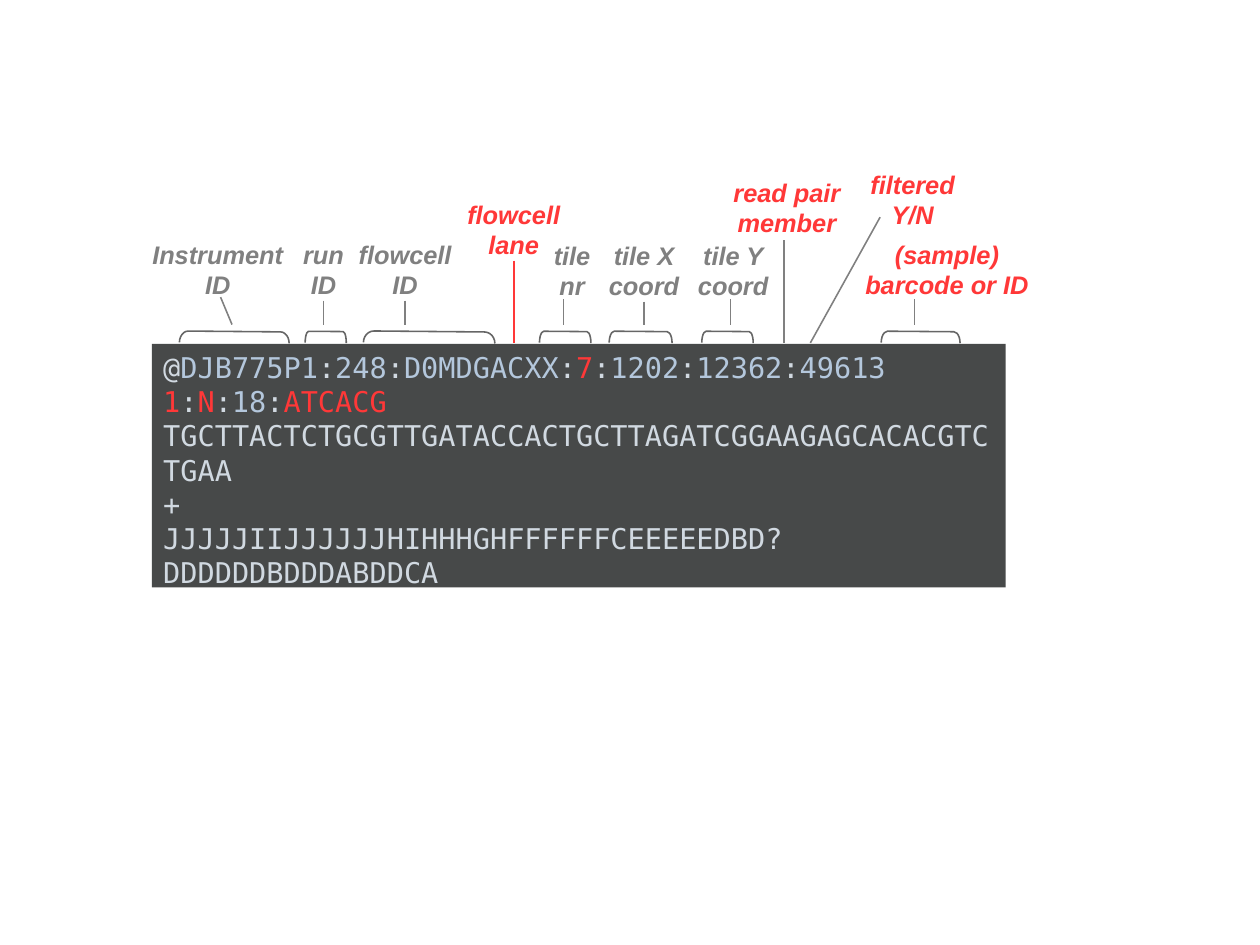
from lxml import etree
from pptx import Presentation
from pptx.dml.color import RGBColor
from pptx.enum.shapes import MSO_CONNECTOR, MSO_SHAPE
from pptx.enum.text import MSO_ANCHOR, PP_ALIGN
from pptx.oxml.ns import qn
from pptx.util import Inches, Pt

RECT = MSO_SHAPE.RECTANGLE
BRACE = MSO_SHAPE.LEFT_BRACKET
LINE = MSO_CONNECTOR.STRAIGHT
TOP = MSO_ANCHOR.TOP
LEFT, MID = PP_ALIGN.LEFT, PP_ALIGN.CENTER

GRAY, EDGE, RED = "808080", "666666", "FF3838"
PANEL, PALE, BLUE = "474949", "D1D9E1", "B4C7DC"
SANS, MONO = "Arial", "DejaVu Sans Mono"
CODE_TOP = 3.0
TICK_END = 2.84

# text, box, colour, pointer start and end (None: from the bottom of the label)
LABELS = [
    ("Instrument\nID", (1.16, 2.04, 1.49, 0.59), GRAY, (1.93, 2.6), (2.03, TICK_END)),
    ("run\nID", (2.33, 2.04, 1, 0.59), GRAY, None, (2.83, TICK_END)),
    ("flowcell\nID", (2.96, 2.04, 1.17, 0.59), GRAY, None, (3.54, TICK_END)),
    ("flowcell\nlane", (3.91, 1.69, 1.17, 0.59), RED, None, (4.5, CODE_TOP)),
    ("tile\nnr", (4.42, 2.05, 1.17, 0.59), GRAY, (4.93, 2.62), (4.93, TICK_END)),
    ("tile X\ncoord", (5.05, 2.05, 1.17, 0.59), GRAY, None, (5.64, TICK_END)),
    ("tile Y\ncoord", (5.83, 2.05, 1.17, 0.59), GRAY, (6.39, 2.62), (6.39, TICK_END)),
    ("read pair\nmember", (6.27, 1.5, 1.23, 0.59), RED, (6.86, 2.1), (6.86, CODE_TOP)),
    ("filtered\nY/N", (7.4, 1.43, 1.17, 0.59), RED, (7.7, 1.9), (7.09, CODE_TOP)),
    ("(sample)\nbarcode or ID", (7.43, 2.04, 1.71, 0.84), RED, (8, 2.62), (8, TICK_END)),
]
SPANS = [(1.57, 2.53), (2.67, 3.03), (3.18, 4.33), (4.72, 5.17),
         (5.33, 5.88), (6.14, 6.59), (7.71, 8.4)]
PLACE = [("DJB775P1", BLUE), ("248", BLUE), ("D0MDGACXX", BLUE), ("7", RED),
         ("1202", BLUE), ("12362", BLUE), ("49613 ", BLUE)]
READ = [("1", RED), ("N", RED), ("18", BLUE), ("ATCACG", RED)]
REST = ["TGCTTACTCTGCGTTGATACCACTGCTTAGATCGGAAGAGCACACGTCTGAA", "+",
        "JJJJJIIJJJJJJHIHHHGHFFFFFFCEEEEEDBD?DDDDDDBDDDABDDCA"]


def color(code):
    """Turn a hex string into a colour."""
    return RGBColor.from_string(code)


def add_run(para, text, size, face, code, strong=False):
    """Add one formatted run to a paragraph."""
    run = para.add_run()
    run.text = text
    font = run.font
    font.size, font.name = Pt(size), face
    font.bold = font.italic = strong
    font.color.rgb = color(code)


def set_frame(shape):
    """Wrap the text of a shape from its top and return the frame."""
    frame = shape.text_frame
    frame.word_wrap = True
    frame.vertical_anchor = TOP
    return frame


def add_label(slide, text, box, code):
    """Add a centred label with one run per line."""
    label = slide.shapes.add_textbox(*map(Inches, box))
    para = set_frame(label).paragraphs[0]
    para.alignment = MID
    for i, part in enumerate(text.split("\n")):
        if i:
            para.add_line_break()
        add_run(para, part, 16, SANS, code, True)
    return label


def add_lead(slide, label, start, end, code):
    """Add a pointer from a point, or straight down from its label."""
    points = map(Inches, (start or end) + end)
    lead = slide.shapes.add_connector(LINE, *points)
    if start is None:
        lead.begin_connect(label, 2)
        lead.end_x = lead.begin_x
    lead.line.color.rgb = color(code)
    lead.line.width = Pt(1)
    etree.SubElement(lead.element.spPr, qn("a:effectLst"))


def add_brace(slide, left, right):
    """Add a flat bracket, open below, over a span of the header."""
    span, deep = right - left, 0.1
    x = (left + right - deep) / 2
    y = CODE_TOP - (deep + span) / 2
    brace = slide.shapes.add_shape(BRACE, *map(Inches, (x, y, deep, span)))
    brace.adjustments[0] = 0.08 * span / deep
    brace.rotation = 90.5
    brace.shadow.inherit = False
    brace.fill.background()
    brace.line.color.rgb = color(EDGE)
    brace.line.width = Pt(1)


def join_parts(parts):
    """Put a pale colon between header fields."""
    runs = []
    for part in parts:
        runs += [(":", PALE), part]
    return runs[1:]


def add_code(slide):
    """Add the dark panel with the four lines of the record."""
    panel = slide.shapes.add_shape(RECT, *map(Inches, (1.33, 3.01, 7.47, 2.13)))
    panel.shadow.inherit = False
    panel.fill.solid()
    panel.fill.fore_color.rgb = color(PANEL)
    panel.line.fill.background()
    frame = set_frame(panel)
    head = [("@", PALE)] + join_parts(PLACE) + join_parts(READ)
    rows = [head] + [[(text, PALE)] for text in REST]
    for i, row in enumerate(rows):
        para = frame.add_paragraph() if i else frame.paragraphs[0]
        para.alignment = LEFT
        for text, code in row:
            add_run(para, text, 18, MONO, code)


def main():
    """Build the slide and save it."""
    deck = Presentation()
    deck.slide_width = Inches(28 / 2.54)
    deck.slide_height = Inches(21 / 2.54)
    slide = deck.slides.add_slide(deck.slide_layouts[6])
    add_code(slide)
    for text, box, code, start, end in LABELS:
        label = add_label(slide, text, box, code)
        add_lead(slide, label, start, end, RED if "lane" in text else GRAY)
    for left, right in SPANS:
        add_brace(slide, left, right)
    deck.save("out.pptx")


if __name__ == "__main__":
    main()
